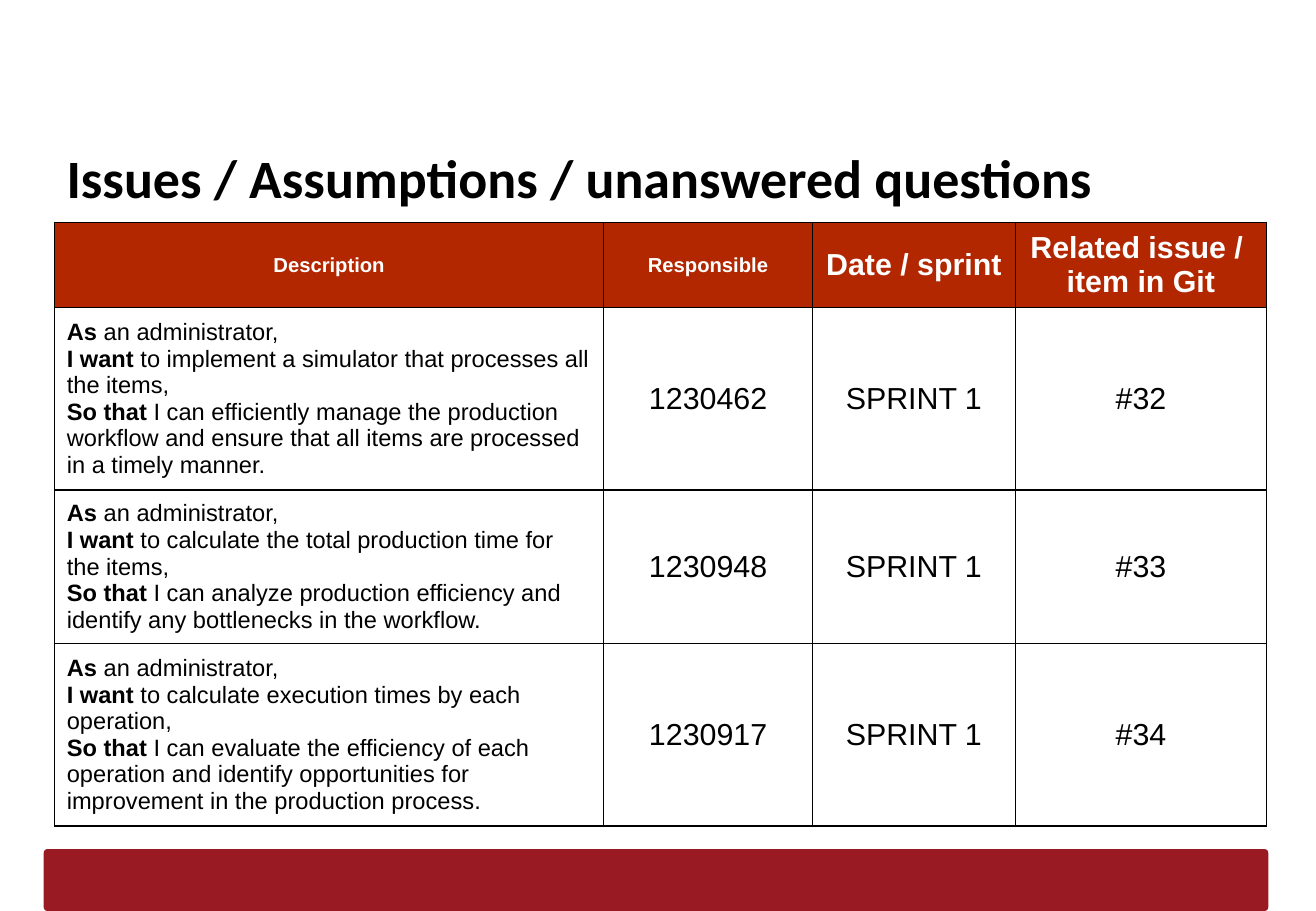
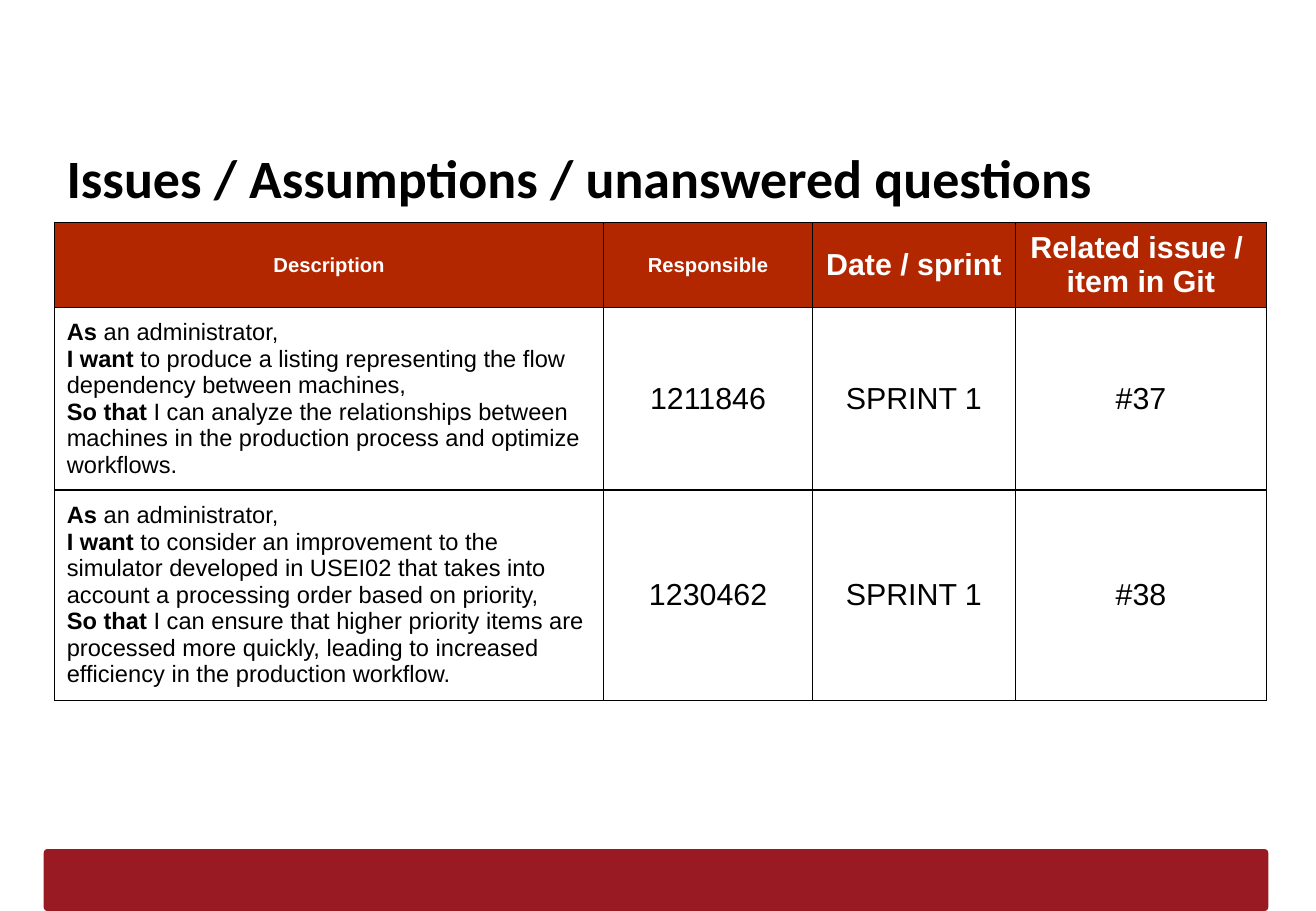
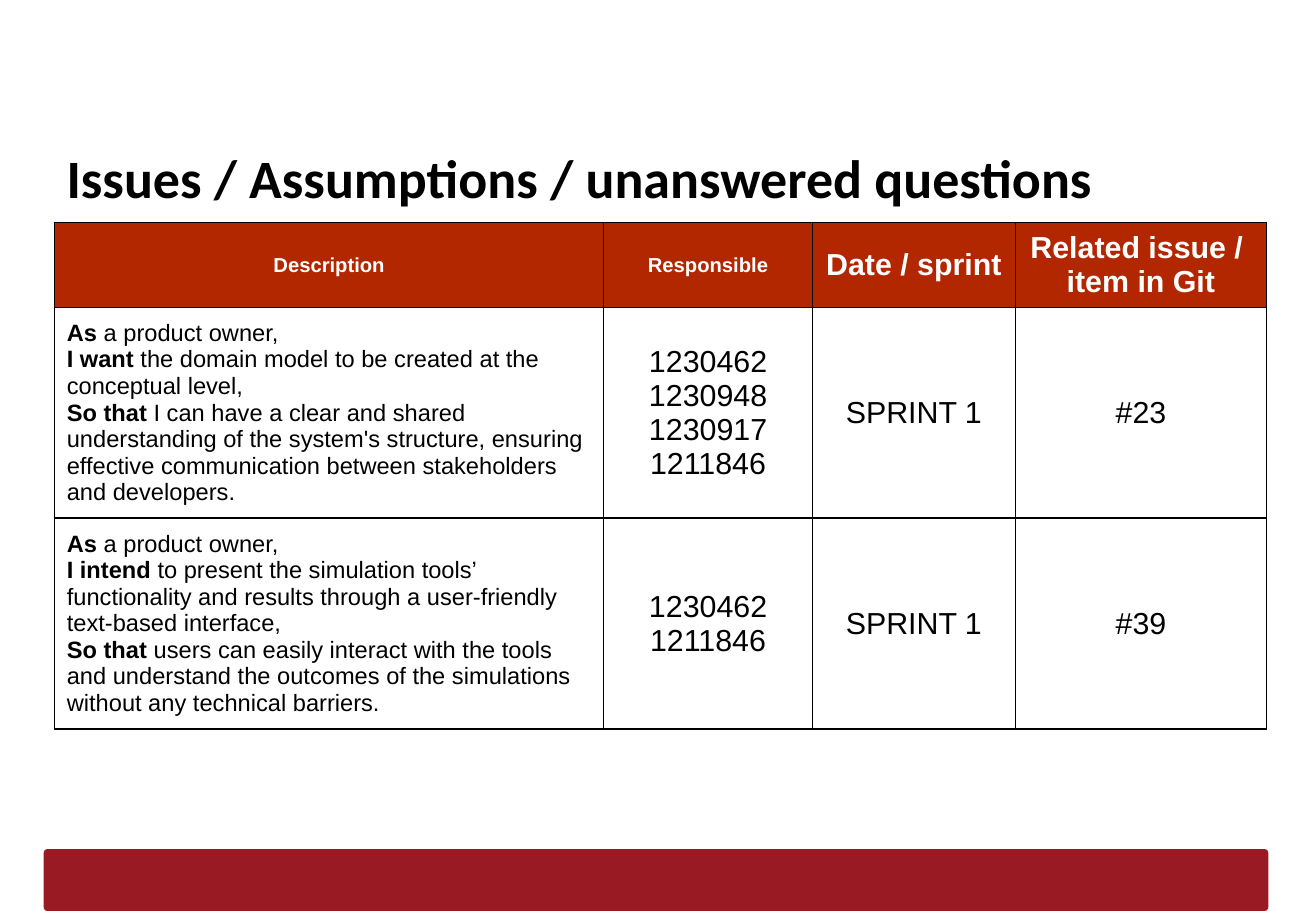
from copy import deepcopy
from dataclasses import dataclass

from lxml.etree import SubElement
from pptx import Presentation
from pptx.dml.color import RGBColor as Color
from pptx.enum.shapes import MSO_SHAPE as Preset
from pptx.enum.text import MSO_ANCHOR as Anchor, PP_ALIGN as Align
from pptx.oxml.ns import qn
from pptx.util import Pt


@dataclass(frozen=True)
class Theme:
    black: Color = Color(0, 0, 0)
    white: Color = Color(255, 255, 255)
    band: Color = Color(0x9A, 0x1A, 0x24)
    header: Color = Color(0xB2, 0x26, 0x00)
    title_font: str = "Calibri"
    body_font: str = "Arial"
    title_size: float = 32
    label_size: float = 12
    story_size: float = 14
    value_size: float = 18
    story_line: float = 15.75
    border: float = 1


THEME = Theme()
SLIDE_SIZE = (780, 540)
TITLE_BOX = (32.4, 78.5, 712, 45.4)
TABLE_BOX = (32.4, 131.8, 718.4)
BAND_BOX = (25.9, 503.3, 725.8, 36.7)
COLUMN_WIDTHS = (325.4, 123.8, 120.2, 149)
CELL_PADDING = 7.2

TITLE = "Issues / Assumptions / unanswered questions"
SPRINT = "SPRINT 1"
HEADERS = [
    (["Description"], THEME.label_size),
    (["Responsible"], THEME.label_size),
    (["Date / sprint"], THEME.value_size),
    (["Related issue / ", "item in Git"], THEME.value_size),
]


@dataclass(frozen=True)
class Story:
    role: str
    verb: str
    goal: str
    benefit: str
    responsible: tuple
    issue: str
    lines: int


# Each slide: header height and its stories
ADMIN = "an administrator"
OWNER = "a product owner"
SLIDES = [
    (49.8, [
        Story(ADMIN, "I want", "to implement a simulator that processes all the items",
              "I can efficiently manage the production workflow and ensure that "
              "all items are processed in a timely manner.",
              ("1230462",), "#32", 6),
        Story(ADMIN, "I want", "to calculate the total production time for the items",
              "I can analyze production efficiency and identify any bottlenecks "
              "in the workflow.",
              ("1230948",), "#33", 5),
        Story(ADMIN, "I want", "to calculate execution times by each operation",
              "I can evaluate the efficiency of each operation and identify "
              "opportunities for improvement in the production process.",
              ("1230917",), "#34", 6),
    ]),
    (47.4, [
        Story(ADMIN, "I want",
              "to produce a listing representing the flow dependency between machines",
              "I can analyze the relationships between machines in the production "
              "process and optimize workflows.",
              ("1211846",), "#37", 6),
        Story(ADMIN, "I want",
              "to consider an improvement to the simulator developed in USEI02 that "
              "takes into account a processing order based on priority",
              "I can ensure that higher priority items are processed more quickly, "
              "leading to increased efficiency in the production workflow.",
              ("1230462",), "#38", 7),
    ]),
    (49.8, [
        Story(OWNER, "I want", "the domain model to be created at the conceptual level",
              "I can have a clear and shared understanding of the system's structure, "
              "ensuring effective communication between stakeholders and developers.",
              ("1230462", "1230948", "1230917", "1211846"), "#23", 7),
        Story(OWNER, "I intend",
              "to present the simulation tools’ functionality and results through a "
              "user-friendly text-based interface",
              "users can easily interact with the tools and understand the outcomes "
              "of the simulations without any technical barriers.",
              ("1230462", "1211846"), "#39", 7),
    ]),
]


def add_run(paragraph, text, size, color=THEME.black, bold=False, font=THEME.body_font):
    run = paragraph.add_run()
    run.text = text
    run.font.name = font
    run.font.size = Pt(size)
    run.font.bold = bold
    run.font.color.rgb = color
    return run


def add_band(slide, box):
    band = slide.shapes.add_shape(Preset.ROUNDED_RECTANGLE, *map(Pt, box))
    band.adjustments[0] = 0.06
    band.shadow.inherit = False
    band.fill.solid()
    band.fill.fore_color.rgb = THEME.band
    band.line.fill.background()


def add_title(slide, box):
    frame = slide.shapes.add_textbox(*map(Pt, box)).text_frame
    frame.word_wrap = True
    frame.vertical_anchor = Anchor.TOP
    frame.margin_left = frame.margin_right = Pt(7.2)
    frame.margin_top = frame.margin_bottom = Pt(7.2)
    add_run(frame.paragraphs[0], TITLE, THEME.title_size, bold=True,
            font=THEME.title_font)


def style_cell(cell, fill=None):
    cell.vertical_anchor = Anchor.MIDDLE
    properties = cell._tc.get_or_add_tcPr()
    for side in ("a:lnL", "a:lnR", "a:lnT", "a:lnB"):
        line = SubElement(properties, qn(side), w=str(Pt(THEME.border)))
        solid = SubElement(line, qn("a:solidFill"))
        SubElement(solid, qn("a:srgbClr"), val=str(THEME.black))
    if fill is None:
        cell.fill.background()
    else:
        cell.fill.solid()
        cell.fill.fore_color.rgb = fill


def write_centred(cell, lines, size, **style):
    frame = cell.text_frame
    for index, text in enumerate(lines):
        paragraph = frame.add_paragraph() if index else frame.paragraphs[0]
        paragraph.alignment = Align.CENTER
        add_run(paragraph, text, size, **style)


def write_story(cell, story):
    paragraph = cell.text_frame.paragraphs[0]
    clauses = [("As", f"{story.role},"), (story.verb, f"{story.goal},"),
               ("So that", story.benefit)]
    for index, (keyword, text) in enumerate(clauses):
        if index:
            # The break takes the size of the text before it
            paragraph.add_line_break()
            paragraph._p[-1].append(deepcopy(run._r.rPr))
        add_run(paragraph, keyword, THEME.story_size, bold=True)
        run = add_run(paragraph, f" {text}", THEME.story_size)


def add_story_table(slide, box, header_height, stories):
    heights = [header_height] + [
        story.lines * THEME.story_line + CELL_PADDING for story in stories]
    table = slide.shapes.add_table(len(heights), len(COLUMN_WIDTHS), *map(Pt, box),
                                   Pt(sum(heights))).table
    table.first_row = table.horz_banding = False
    for column, width in zip(table.columns, COLUMN_WIDTHS):
        column.width = Pt(width)
    for row, height in zip(table.rows, heights):
        row.height = Pt(height)

    # Header row
    for column, (lines, size) in enumerate(HEADERS):
        cell = table.cell(0, column)
        style_cell(cell, THEME.header)
        write_centred(cell, lines, size, color=THEME.white, bold=True)

    # One row per story
    for row, story in enumerate(stories, 1):
        for column in range(len(COLUMN_WIDTHS)):
            style_cell(table.cell(row, column))
        write_story(table.cell(row, 0), story)
        values = (story.responsible, [SPRINT], [story.issue])
        for column, lines in enumerate(values, 1):
            write_centred(table.cell(row, column), lines, THEME.value_size)


def add_issue_slide(presentation, header_height, stories):
    slide = presentation.slides.add_slide(presentation.slide_layouts[6])
    add_band(slide, BAND_BOX)
    add_title(slide, TITLE_BOX)
    add_story_table(slide, TABLE_BOX, header_height, stories)


def main():
    presentation = Presentation()
    presentation.slide_width, presentation.slide_height = map(Pt, SLIDE_SIZE)
    for header_height, stories in SLIDES:
        add_issue_slide(presentation, header_height, stories)
    presentation.save("out.pptx")


if __name__ == "__main__":
    main()
